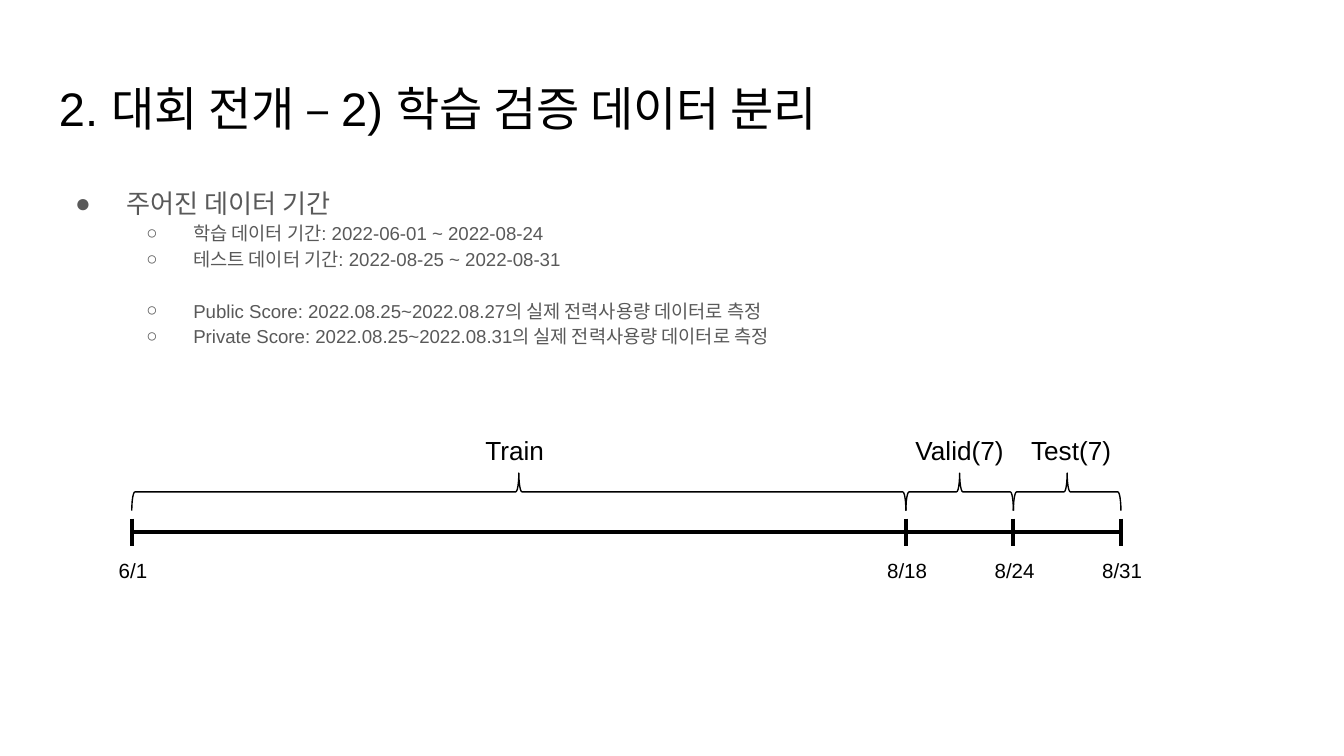
from pptx import Presentation
from pptx.util import Inches, Pt
from pptx.dml.color import RGBColor
from pptx.enum.shapes import MSO_CONNECTOR, MSO_SHAPE
from pptx.enum.text import MSO_ANCHOR, PP_ALIGN
from pptx.oxml.ns import qn
from lxml import etree

LINE = MSO_CONNECTOR.STRAIGHT
BRACE = MSO_SHAPE.LEFT_BRACE
TOP = MSO_ANCHOR.TOP
LEFT, MID = PP_ALIGN.LEFT, PP_ALIGN.CENTER
INK = {"black": "000000", "gray": "595959"}

deck = Presentation()
deck.slide_width, deck.slide_height = Inches(10), Inches(10 * 9 / 16)
slide = deck.slides.add_slide(deck.slide_layouts[6])
shapes = slide.shapes


def add_box(x, y, w, h, wrap=True):
    frame = shapes.add_textbox(*map(Inches, (x, y, w, h))).text_frame
    look = {"word_wrap": wrap, "vertical_anchor": TOP}
    for side in ("left", "right", "top", "bottom"):
        look["margin_" + side] = Inches(0.1 if wrap else 0.05)
    for key, val in look.items():
        setattr(frame, key, val)
    return frame


def add_text(para, text, size, ink="black", align=LEFT):
    para.alignment = align
    run = para.add_run()
    run.text = text
    for key, val in {"name": "Arial", "size": Pt(size)}.items():
        setattr(run.font, key, val)
    run.font.color.rgb = RGBColor.from_string(INK[ink])


title = add_box(0.34, 0.49, 9.32, 0.63)
add_text(title.paragraphs[0], "2. 대회 전개 – 2) 학습 검증 데이터 분리", 25.2)

points = [
    (0, 0, "주어진 데이터 기간"),
    (1, 0, "학습 데이터 기간: 2022-06-01 ~ 2022-08-24"),
    (1, 0, "테스트 데이터 기간: 2022-08-25 ~ 2022-08-31"),
    (1, 13.8, "Public Score: 2022.08.25~2022.08.27의 실제 전력사용량 데이터로 측정"),
    (1, 0, "Private Score: 2022.08.25~2022.08.31의 실제 전력사용량 데이터로 측정"),
]
levels = [(14, 0.5, -0.38, "●"), (10, 1, -0.35, "○")]
body = add_box(0.34, 1.26, 9.32, 3.74)
for i, (level, gap, text) in enumerate(points):
    size, left, hang, mark = levels[level]
    para = body.add_paragraph() if i else body.paragraphs[0]
    look = {"level": level, "line_spacing": 1.15,
            "space_before": Pt(gap), "space_after": Pt(0)}
    for key, val in look.items():
        setattr(para, key, val)
    add_text(para, text, size, "gray")
    props = para._p.get_or_add_pPr()
    props.set("marL", str(Inches(left)))
    props.set("indent", str(Inches(hang)))
    tint = etree.SubElement(props, qn("a:buClr"))
    etree.SubElement(tint, qn("a:srgbClr"), val=INK["gray"])
    etree.SubElement(props, qn("a:buFont"), typeface="Arial")
    etree.SubElement(props, qn("a:buChar"), char=mark)

axis = 3.96
ticks = [0.98, 6.74, 7.54, 8.34]
dates = ["6/1", "8/18", "8/24", "8/31"]
lines = [(ticks[0], axis, ticks[-1], axis)]
lines += [(x, axis - 0.1, x, axis + 0.1) for x in ticks]
for ends in lines:
    line = shapes.add_connector(LINE, *map(Inches, ends))
    line.line.width = Pt(2.25)
    line.line.color.rgb = RGBColor.from_string(INK["black"])
    etree.SubElement(line._element.spPr, qn("a:effectLst"))

for x, date in zip(ticks, dates):
    label = add_box(x - 0.24, 4.1, 0.5, 0.29, False)
    add_text(label.paragraphs[0], date, 11, align=MID)

thick = 0.28
names = [("Train", -0.03), ("Valid(7)", 0), ("Test(7)", 0.03)]
for start, end, (name, shift) in zip(ticks, ticks[1:], names):
    mid, span = (start + end) / 2, end - start
    place = (mid - thick / 2, 3.66 - span / 2, thick, span)
    brace = shapes.add_shape(BRACE, *map(Inches, place))
    brace.rotation = 90
    brace.shadow.inherit = False
    brace.fill.background()
    brace.line.width = Pt(0.75)
    brace.line.color.rgb = RGBColor.from_string(INK["black"])
    label = add_box(mid + shift - 0.4, 3.18, 0.8, 0.34, False)
    add_text(label.paragraphs[0], name, 14, align=MID)

deck.save("out.pptx")
